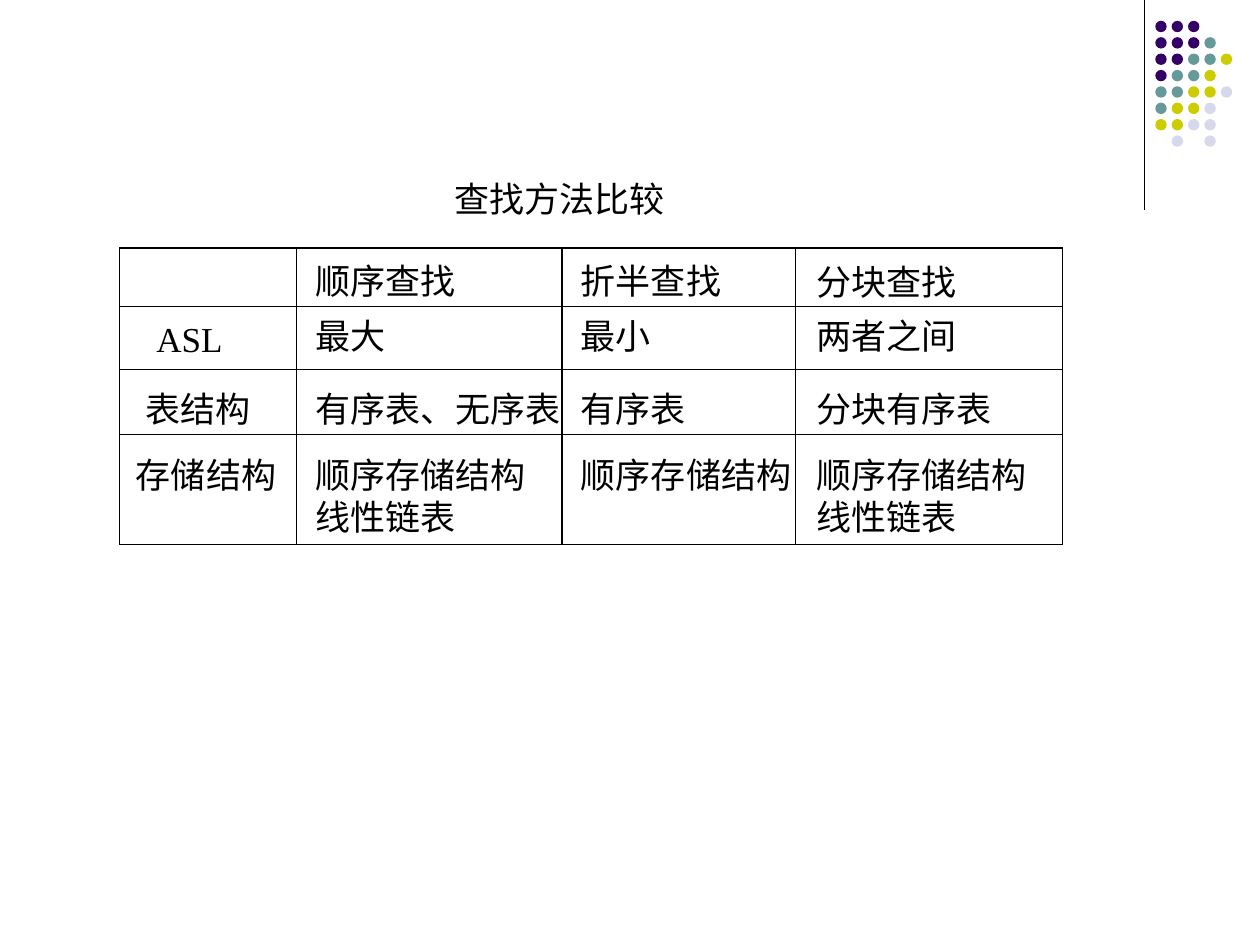
import pptx
import pptx.util
import pptx.dml.color
import pptx.enum.shapes
import pptx.enum.text
import pptx.oxml
import pptx.oxml.ns
import lxml.etree

Cm, Pt = pptx.util.Cm, pptx.util.Pt
RGB = pptx.dml.color.RGBColor
qn = pptx.oxml.ns.qn

BLACK = RGB(0x00, 0x00, 0x00)
PURPLE = RGB(0x33, 0x00, 0x66)
TEAL = RGB(0x66, 0x99, 0x99)
LIME = RGB(0xCC, 0xCC, 0x00)
PALE = RGB(0xD8, 0xD8, 0xEC)

TITLE = "查找方法比较"
ROWS = [
    ["", "顺序查找", "折半查找", "分块查找"],
    ["ASL", "最大", "最小", "两者之间"],
    ["表结构", "有序表、无序表", "有序表", "分块有序表"],
    ["存储结构", "顺序存储结构\n线性链表", "顺序存储结构", "顺序存储结构\n线性链表"],
]
WIDTHS = [3.56, 5.36, 4.7, 5.38]
HEIGHTS = [1.17, 1.27, 1.32, 2.21]
TOPS = [0.29, 0.24, 0.44, 0.44]
LABELS = [0, 0.74, 0.53, 0.33]
LEFTS = [0, 0.38, 0.38, 0.43]

DOTS = ["PPP", "PPPT", "PPTTL", "PTTL", "TTLLW", "TLLW", "LLWW", " W W"]
HUES = {"P": PURPLE, "T": TEAL, "L": LIME, "W": PALE}
DOT, STEP = 0.23, 0.33


def style(frame):
    for para in frame.paragraphs:
        para.font.name = "Times New Roman"
        para.font.size = Pt(20)
        para.font.bold = False
        para.font.color.rgb = BLACK
        para.alignment = pptx.enum.text.PP_ALIGN.LEFT


def border(cell):
    props = cell._tc.get_or_add_tcPr()
    for side in ("lnL", "lnR", "lnT", "lnB"):
        line = lxml.etree.SubElement(props, qn("a:" + side), w=str(Pt(0.75)))
        fill = lxml.etree.SubElement(line, qn("a:solidFill"))
        lxml.etree.SubElement(fill, qn("a:srgbClr"), val=str(BLACK))


def add_dots(slide):
    for r, row in enumerate(DOTS):
        for c, key in enumerate(row):
            if key in HUES:
                dot = slide.shapes.add_shape(
                    pptx.enum.shapes.MSO_SHAPE.OVAL,
                    Cm(23.29 + c * STEP), Cm(0.42 + r * STEP), Cm(DOT), Cm(DOT))
                dot.shadow.inherit = False
                dot.fill.solid()
                dot.fill.fore_color.rgb = HUES[key]
                dot.line.fill.background()


def add_rule(slide):
    rule = slide.shapes.add_connector(
        pptx.enum.shapes.MSO_CONNECTOR.STRAIGHT, Cm(23.07), 0, Cm(23.07), Cm(4.24))
    rule.line.color.rgb = BLACK
    rule.line.width = Pt(0.75)
    lxml.etree.SubElement(rule._element.spPr, qn("a:effectLst"))


def set_title(slide):
    title = slide.shapes.title
    title.left, title.top = Cm(8.91), Cm(3.45)
    title.width, title.height = Cm(4.75), Cm(1.12)
    frame = title.text_frame
    frame.text = TITLE
    frame.word_wrap = False
    frame.auto_size = pptx.enum.text.MSO_AUTO_SIZE.NONE
    frame.vertical_anchor = pptx.enum.text.MSO_ANCHOR.TOP
    style(frame)


def add_grid(slide):
    grid = slide.shapes.add_table(
        len(ROWS), len(WIDTHS), Cm(2.41), Cm(5),
        Cm(sum(WIDTHS)), Cm(sum(HEIGHTS))).table
    grid.first_row = grid.horz_banding = False
    for col, width in zip(grid.columns, WIDTHS):
        col.width = Cm(width)
    for r, row in enumerate(ROWS):
        grid.rows[r].height = Cm(HEIGHTS[r])
        for c, text in enumerate(row):
            cell = grid.cell(r, c)
            cell.text = text
            cell.margin_left = Cm(LEFTS[c] if c else LABELS[r])
            cell.margin_top = Cm(TOPS[r])
            cell.margin_right = cell.margin_bottom = 0
            style(cell.text_frame)
            for para in cell.text_frame.paragraphs:
                para.line_spacing = Pt(24)
            border(cell)
            cell.fill.background()
    grid.cell(0, 3).margin_top = Cm(0.32)


def main():
    deck = pptx.Presentation()
    deck.slide_width, deck.slide_height = Cm(25.4), Cm(19.05)
    slide = deck.slides.add_slide(deck.slide_layouts[5])
    add_rule(slide)
    add_dots(slide)
    set_title(slide)
    add_grid(slide)
    deck.save("out.pptx")


if __name__ == "__main__":
    main()
